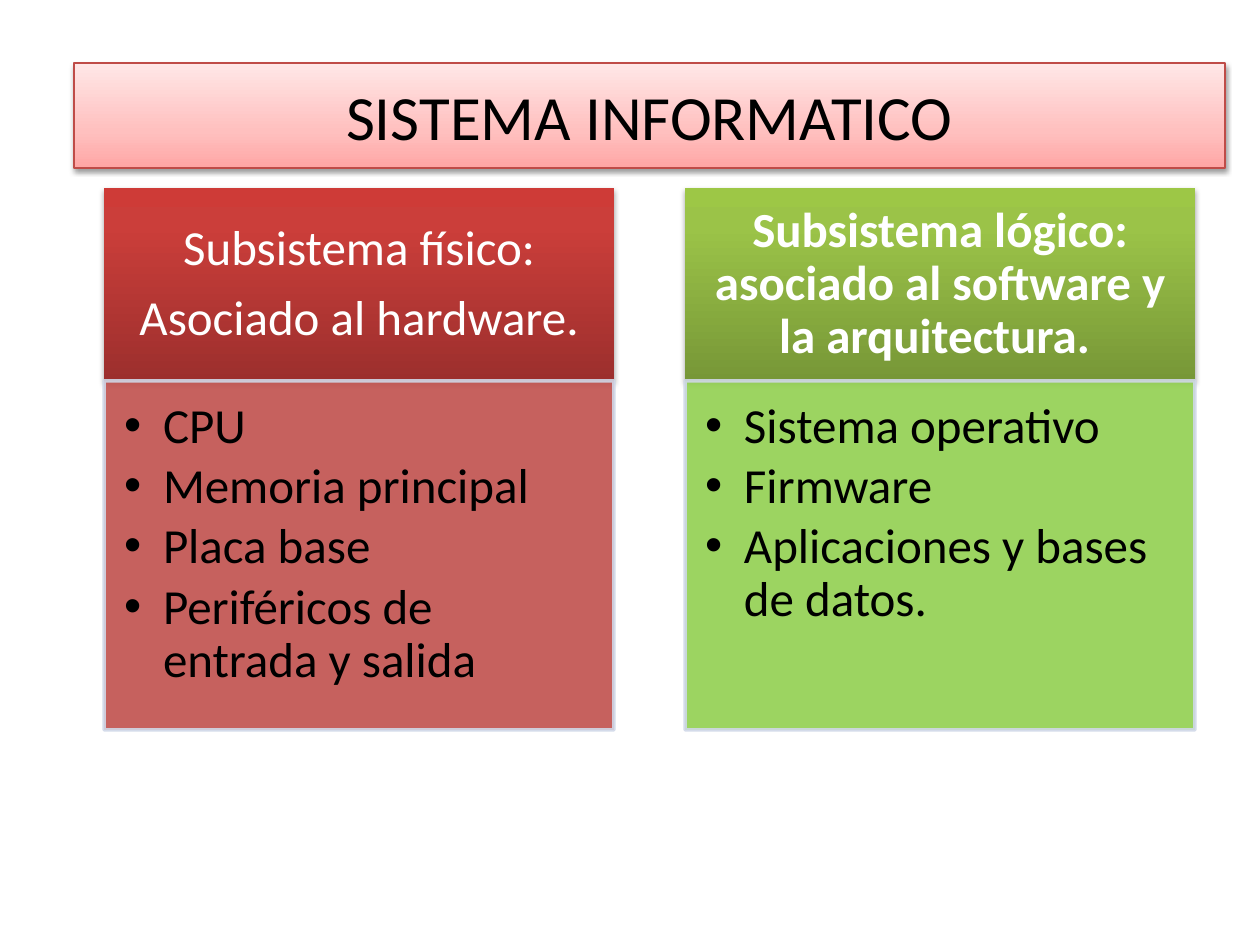
from lxml import etree
from pptx import Presentation
from pptx.dml.color import RGBColor
from pptx.enum.shapes import MSO_SHAPE
from pptx.enum.text import MSO_ANCHOR, MSO_AUTO_SIZE, PP_ALIGN
from pptx.oxml.ns import qn
from pptx.util import Emu, Pt

RECT = MSO_SHAPE.RECTANGLE
TOP, MIDDLE = MSO_ANCHOR.TOP, MSO_ANCHOR.MIDDLE
LEFT, CENTER = PP_ALIGN.LEFT, PP_ALIGN.CENTER
FONT = "Calibri"

# Content
TITLE = "SISTEMA INFORMATICO"
TITLE_STOPS = [(0, "FFA6A5"), (35, "FFC0BF"), (100, "FFE7E7")]
COLUMNS = [
    {"heading": ["Subsistema físico:", "Asociado al hardware."], "bold": False,
     "stops": [(0, "9C2F2D"), (80, "CB3E3A"), (100, "CE3B37")], "body": "C0504D",
     "items": ["CPU", "Memoria principal", "Placa base",
               "Periféricos de entrada y salida"]},
    {"heading": ["Subsistema lógico: asociado al software y la arquitectura. "],
     "bold": True,
     "stops": [(0, "779737"), (80, "9BC348"), (100, "9DC746")], "body": "92D050",
     "items": ["Sistema operativo", "Firmware", "Aplicaciones y bases de datos."]},
]

# Layout in pixels
TITLE_BOX = (74, 71, 1151, 89)
COLUMN_LEFT, COLUMN_STEP, COLUMN_WIDTH = 104, 581, 510
HEAD_TOP, HEAD_HEIGHT, BODY_HEIGHT = 188, 193, 349
HEAD_INSETS, BODY_INSETS = (28, 15, 28, 15), (20, 20, 28, 30)
BULLET_INDENT = 39


def px(value):
    return Emu(round(value * 914400 / 126))


def color(value):
    return RGBColor.from_string(value)


def sub(parent, tag, **attributes):
    return etree.SubElement(parent, qn(tag), {k: str(v) for k, v in attributes.items()})


def place(box, rect):
    for name, value in zip(("left", "top", "width", "height"), rect):
        setattr(box, name, px(value))


def set_gradient(box, stops):
    box.fill.gradient()
    box.fill.gradient_angle = 90
    stop_list = box._element.spPr.find(".//" + qn("a:gsLst"))
    for stop in list(stop_list):
        stop_list.remove(stop)
    for position, value in stops:
        sub(sub(stop_list, "a:gs", pos=position * 1000), "a:srgbClr", val=value)


def set_shadow(box, distance, opacity):
    box.shadow.inherit = False
    effects = box._element.spPr.find(qn("a:effectLst"))
    shadow = sub(effects, "a:outerShdw", blurRad=Pt(3.1), dist=Pt(distance),
                 dir=5400000, rotWithShape=0)
    sub(sub(shadow, "a:srgbClr", val="000000"), "a:alpha", val=opacity * 1000)


def set_line(box, value, width):
    box.line.color.rgb = color(value)
    box.line.width = Pt(width)


def set_font(span, size, value, bold=False):
    settings = {"name": FONT, "size": Pt(size), "bold": bold}
    for name, setting in settings.items():
        setattr(span.font, name, setting)
    span.font.color.rgb = color(value)


def write(box, lines, insets, anchor, align, value, after, bold=False, bullet=False):
    frame = box.text_frame
    frame.word_wrap = True
    frame.vertical_anchor = anchor
    for side, inset in zip(("left", "top", "right", "bottom"), insets):
        setattr(frame, "margin_" + side, px(inset))
    for index, line in enumerate(lines):
        para = frame.add_paragraph() if index else frame.paragraphs[0]
        para.alignment = align
        para.line_spacing = 0.9
        properties = para._p.get_or_add_pPr()
        sub(sub(properties, "a:spcAft"), "a:spcPct", val=after * 1000)
        if bullet:
            properties.set("marL", str(px(BULLET_INDENT)))
            properties.set("indent", str(-px(BULLET_INDENT)))
            sub(properties, "a:buFont", typeface="Arial")
            sub(properties, "a:buChar", char="•")
        span = para.add_run()
        span.text = line
        set_font(span, 28, value, bold)


deck = Presentation()
deck.slide_width, deck.slide_height = px(1260), px(945)
page = deck.slides.add_slide(deck.slide_layouts[5])

# Columns
for number, column in enumerate(COLUMNS):
    left = COLUMN_LEFT + number * COLUMN_STEP
    head = page.shapes.add_shape(RECT, 0, 0, 0, 0)
    place(head, (left, HEAD_TOP, COLUMN_WIDTH, HEAD_HEIGHT))
    set_gradient(head, column["stops"])
    head.line.fill.background()
    set_shadow(head, 1.8, 35)
    write(head, column["heading"], HEAD_INSETS, MIDDLE, CENTER, "FFFFFF", 35,
          bold=column["bold"])

    body = page.shapes.add_shape(RECT, 0, 0, 0, 0)
    place(body, (left, HEAD_TOP + HEAD_HEIGHT, COLUMN_WIDTH, BODY_HEIGHT))
    body.fill.solid()
    body.fill.fore_color.rgb = color(column["body"])
    set_line(body, "D0D8E8", 2)
    body.shadow.inherit = False
    for paint in body._element.spPr.iter(qn("a:srgbClr")):
        sub(paint, "a:alpha", val=90000)
    write(body, column["items"], BODY_INSETS, TOP, LEFT, "000000", 15, bullet=True)

# Title
title = page.shapes.title
place(title, TITLE_BOX)
set_gradient(title, TITLE_STOPS)
set_line(title, "BF4C48", 0.75)
set_shadow(title, 1.6, 38)
title.text_frame.text = TITLE
title.text_frame.auto_size = MSO_AUTO_SIZE.SHAPE_TO_FIT_TEXT
title.text_frame.paragraphs[0].alignment = CENTER
set_font(title.text_frame.paragraphs[0].runs[0], 36, "000000")

deck.save("out.pptx")
